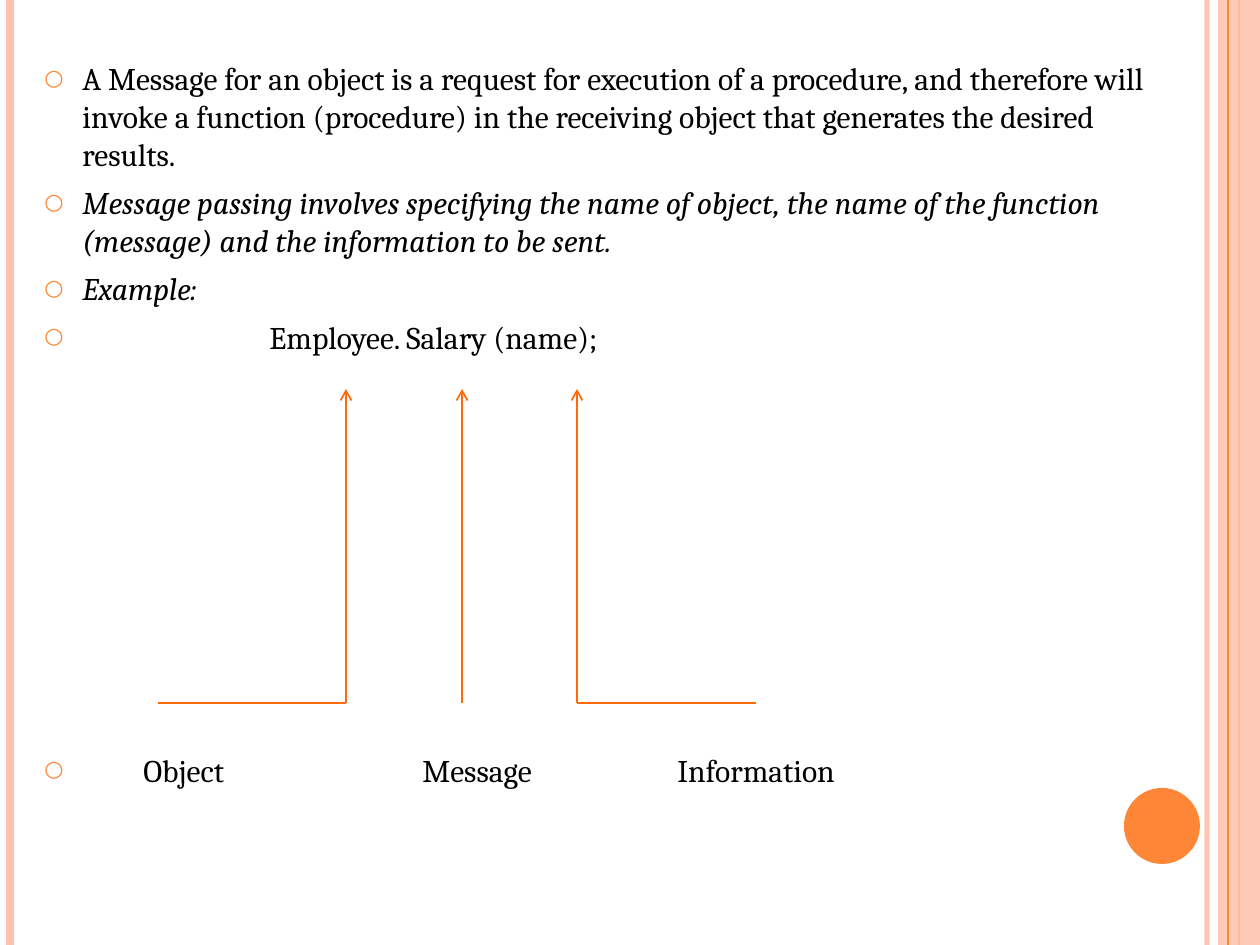
import pptx
import pptx.util
import pptx.dml.color
import pptx.enum.shapes
import pptx.oxml.ns
from dataclasses import dataclass
from lxml import etree

EMU_PER_PX = 914400 / 126
WIDTH, HEIGHT = 1260, 945


@dataclass(frozen=True)
class Theme:
    accent: str = "FE8637"
    pale: str = "FEC3AE"
    arrow: str = "FF6B0A"
    text: str = "000000"
    font: str = "Cambria"
    body_size: int = 18
    bullet_percent: int = 70


THEME = Theme()


def px(length):
    return pptx.util.Emu(round(length * EMU_PER_PX))


def rgb(colour):
    return pptx.dml.color.RGBColor.from_string(colour)


def add_node(parent, tag, **attributes):
    node = etree.SubElement(parent, pptx.oxml.ns.qn(tag))
    for key, value in attributes.items():
        node.set(key, str(value))
    return node


def set_opacity(element, percent):
    colour = element.find(".//" + pptx.oxml.ns.qn("a:srgbClr"))
    add_node(colour, "a:alpha", val=percent * 1000)


def add_line(slide, start, end, colour, points, opacity=100, arrow=False):
    line = slide.shapes.add_connector(
        pptx.enum.shapes.MSO_CONNECTOR.STRAIGHT, *map(px, start + end))
    line.line.color.rgb = rgb(colour)
    line.line.width = pptx.util.Pt(points)
    properties = line._element.spPr
    if opacity < 100:
        set_opacity(properties, opacity)
    if arrow:
        add_node(line.line._get_or_add_ln(), "a:tailEnd", type="arrow")
    add_node(properties, "a:effectLst")


def add_filled(slide, preset, box, colour, opacity=100):
    shape = slide.shapes.add_shape(preset, *map(px, box))
    shape.shadow.inherit = False
    shape.fill.solid()
    shape.fill.fore_color.rgb = rgb(colour)
    shape.line.fill.background()
    if opacity < 100:
        set_opacity(shape._element.spPr, opacity)


def format_bullet(paragraph, tabs):
    """Hang plain bullets; lines with tab stops start at the margin."""
    properties = paragraph._p.get_or_add_pPr()
    hang = 0 if tabs else px(38)
    properties.set("marL", str(hang))
    properties.set("indent", str(-hang))
    bullet_colour = add_node(properties, "a:buClr")
    add_node(bullet_colour, "a:srgbClr", val=THEME.accent)
    add_node(properties, "a:buSzPct", val=THEME.bullet_percent * 1000)
    add_node(properties, "a:buFont", typeface=THEME.font)
    add_node(properties, "a:buChar", char="○")
    if tabs:
        stops = add_node(properties, "a:tabLst")
        for stop in tabs:
            add_node(stops, "a:tab", pos=px(stop), algn="l")


def add_bullets(slide, box, bullets):
    frame = slide.shapes.add_textbox(*map(px, box)).text_frame
    frame.word_wrap = True
    for index, (text, italic, space_before, tabs) in enumerate(bullets):
        paragraph = frame.paragraphs[0] if index == 0 else frame.add_paragraph()
        paragraph.text = text
        paragraph.space_before = pptx.util.Pt(space_before)
        format_bullet(paragraph, tabs)
        for run in paragraph.runs:
            run.font.name = THEME.font
            run.font.size = pptx.util.Pt(THEME.body_size)
            run.font.italic = italic
            run.font.color.rgb = rgb(THEME.text)


def add_frame(slide):
    """Side stripes and the corner disc."""
    shapes = pptx.enum.shapes.MSO_SHAPE

    def stripe(x, colour, points, opacity=100):
        add_line(slide, (x, 0), (x, HEIGHT), colour, points, opacity)

    stripe(1207, THEME.pale, 3, 93)
    stripe(10, THEME.pale, 4.5)
    stripe(1239, THEME.accent, 1.5)
    add_filled(slide, shapes.RECTANGLE, (1218, 0, 42, HEIGHT), THEME.pale, 87)
    stripe(1228, THEME.accent, 0.75)
    add_filled(slide, shapes.OVAL, (1124, 788, 76, 76), THEME.accent)


def add_call_diagram(slide):
    """Arrows from the three labels up to the parts of the call."""
    top, base = 389, 703
    object_x, message_x, information_x = 346, 462, 577
    for start, end in ((158, object_x), (756, information_x)):
        add_line(slide, (start, base), (end, base), THEME.arrow, 1)
    for x in (object_x, message_x, information_x):
        add_line(slide, (x, base), (x, top), THEME.arrow, 1, arrow=True)


def main():
    deck = pptx.Presentation()
    deck.slide_width, deck.slide_height = px(WIDTH), px(HEIGHT)
    slide = deck.slides.add_slide(deck.slide_layouts[6])

    add_frame(slide)

    # Text, italic, space before in points, tab stops in px
    add_bullets(slide, (32, 53, 1166, 861), [
        ("A Message for an object is a request for execution of a procedure, "
         "and therefore will invoke a function (procedure) in the receiving "
         "object that generates the desired results.", False, 6, ()),
        ("Message passing involves specifying the name of object, the name of "
         "the function (message) and the information to be sent.", True, 6, ()),
        ("Example:", True, 6, ()),
        ("\tEmployee. Salary (name);", False, 6, (225,)),
        ("\tObject\tMessage\tInformation", False, 226, (99, 378, 633)),
    ])

    add_call_diagram(slide)
    deck.save("out.pptx")


if __name__ == "__main__":
    main()
